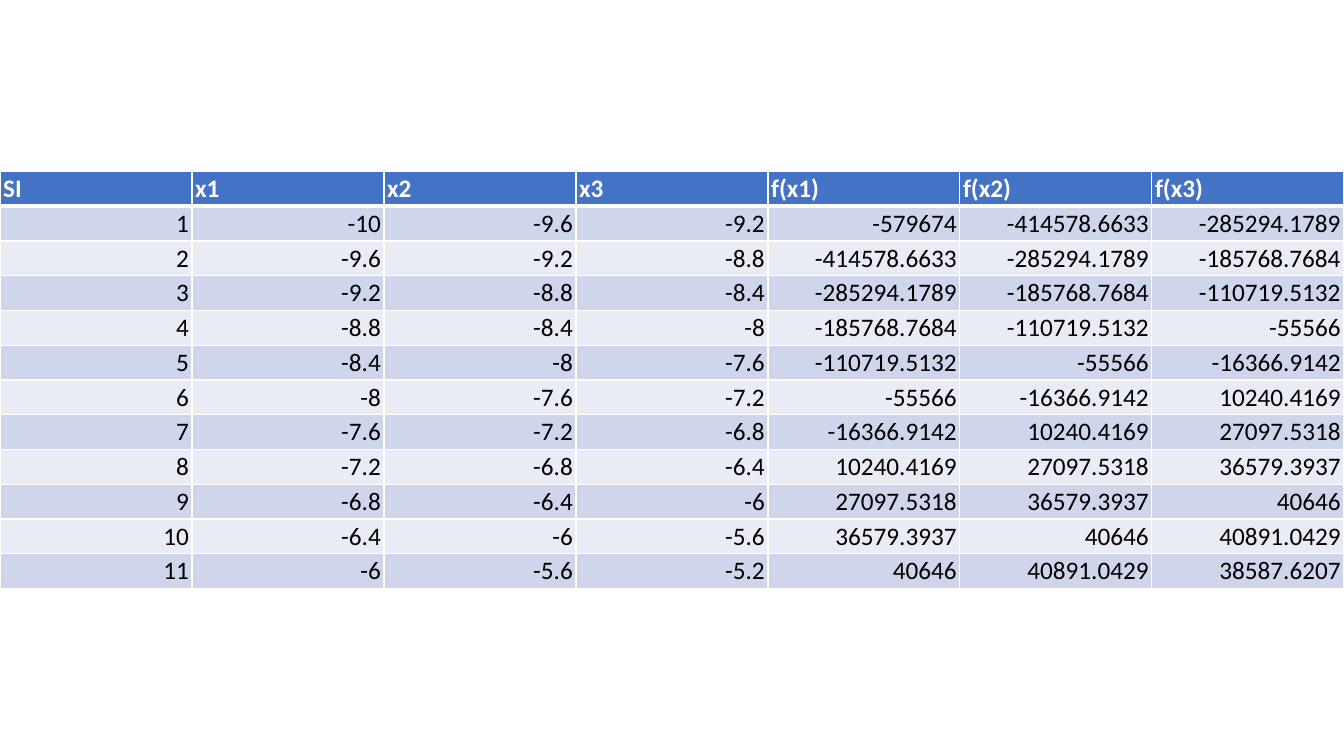
"""Build a slide with the bracketing iterations of a root search as a table."""
import dataclasses

import lxml.etree
import pptx
import pptx.dml.color
import pptx.enum.text
import pptx.oxml.ns
import pptx.table
import pptx.util

Cm = pptx.util.Cm
Pt = pptx.util.Pt
RGBColor = pptx.dml.color.RGBColor
Align = pptx.enum.text.PP_ALIGN

WHITE = RGBColor(0xFF, 0xFF, 0xFF)
BLACK = RGBColor(0x00, 0x00, 0x00)
BLUE = RGBColor(0x44, 0x72, 0xC4)
BAND_DARK = RGBColor(0xCF, 0xD5, 0xEA)
BAND_LIGHT = RGBColor(0xE9, 0xEB, 0xF5)

SLIDE_W, SLIDE_H = Cm(33.87), Cm(19.05)
TABLE_TOP, ROW_H = Cm(4.32), Cm(0.87)
THIN, THICK = Pt(1), Pt(3)
WINDOW = 3

HEADERS = ["SI", "x1", "x2", "x3", "f(x1)", "f(x2)", "f(x3)"]
F_VALUES = [
    "-579674", "-414578.6633", "-285294.1789", "-185768.7684",
    "-110719.5132", "-55566", "-16366.9142", "10240.4169", "27097.5318",
    "36579.3937", "40646", "40891.0429", "38587.6207",
]
X_VALUES = [f"{-10 + 0.4 * i:g}" for i in range(len(F_VALUES))]


@dataclasses.dataclass(frozen=True)
class RowStyle:
    fill: RGBColor
    color: RGBColor = BLACK
    bold: bool = False
    align: Align = Align.RIGHT
    top: int = THIN
    bottom: int = THIN


HEADER = RowStyle(BLUE, WHITE, True, Align.LEFT, bottom=THICK)
FIRST = RowStyle(BAND_DARK, top=THICK)
DARK = RowStyle(BAND_DARK)
LIGHT = RowStyle(BAND_LIGHT)


def add_border(cell: pptx.table._Cell, side: str, width: int) -> None:
    """Draw one white edge of a table cell."""
    qn = pptx.oxml.ns.qn
    ln = lxml.etree.SubElement(cell._tc.get_or_add_tcPr(), qn(f"a:ln{side}"), w=str(width))
    fill = lxml.etree.SubElement(ln, qn("a:solidFill"))
    lxml.etree.SubElement(fill, qn("a:srgbClr"), val=str(WHITE))


def fill_cell(cell: pptx.table._Cell, text: str, style: RowStyle) -> None:
    """Write and format one table cell."""
    for side, width in (("L", THIN), ("R", THIN), ("T", style.top), ("B", style.bottom)):
        add_border(cell, side, width)
    cell.fill.solid()
    cell.fill.fore_color.rgb = style.fill
    cell.margin_left = cell.margin_right = Cm(0.08)
    cell.margin_top = cell.margin_bottom = Cm(0.05)
    cell.vertical_anchor = pptx.enum.text.MSO_ANCHOR.BOTTOM
    cell.text_frame.text = text
    p = cell.text_frame.paragraphs[0]
    p.alignment = style.align
    font = p.runs[0].font
    font.name, font.size, font.bold = "Calibri", Pt(18), style.bold
    font.color.rgb = style.color


def add_iterations(s: pptx.slide.Slide) -> None:
    """Add the table, each row a window sliding along the sampled points."""
    count = len(X_VALUES) - WINDOW + 1
    rows = [HEADERS] + [
        [str(i + 1), *X_VALUES[i:i + WINDOW], *F_VALUES[i:i + WINDOW]]
        for i in range(count)
    ]
    styles = [HEADER, FIRST] + [DARK if i % 2 else LIGHT for i in range(2, count + 1)]
    table = s.shapes.add_table(
        len(rows), len(HEADERS), 0, TABLE_TOP, SLIDE_W, ROW_H * len(rows)
    ).table
    table.horz_banding = False
    for row, texts, style in zip(table.rows, rows, styles):
        row.height = ROW_H
        for cell, text in zip(row.cells, texts):
            fill_cell(cell, text, style)


prs = pptx.Presentation()
prs.slide_width, prs.slide_height = SLIDE_W, SLIDE_H
add_iterations(prs.slides.add_slide(prs.slide_layouts[6]))
prs.save("out.pptx")
